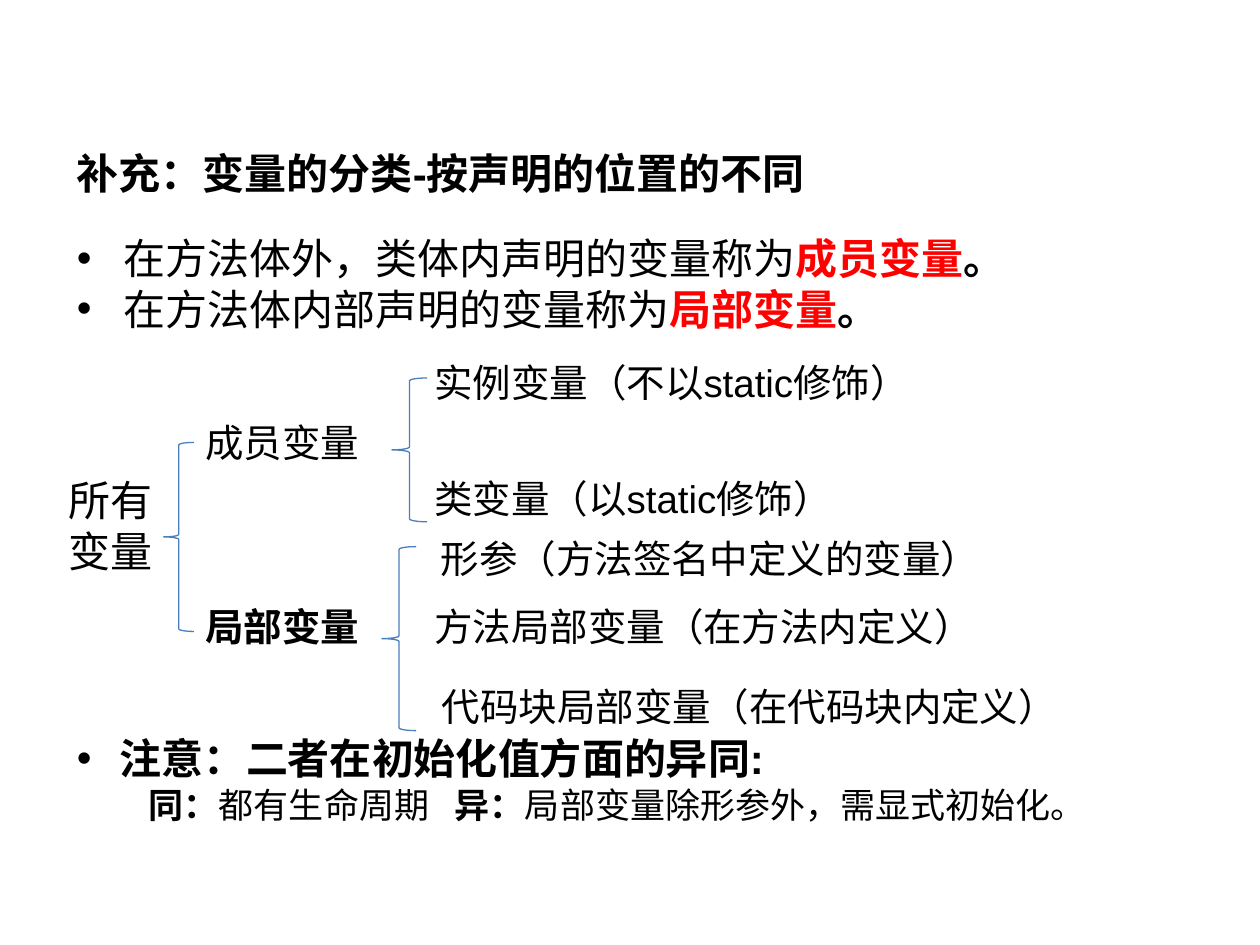
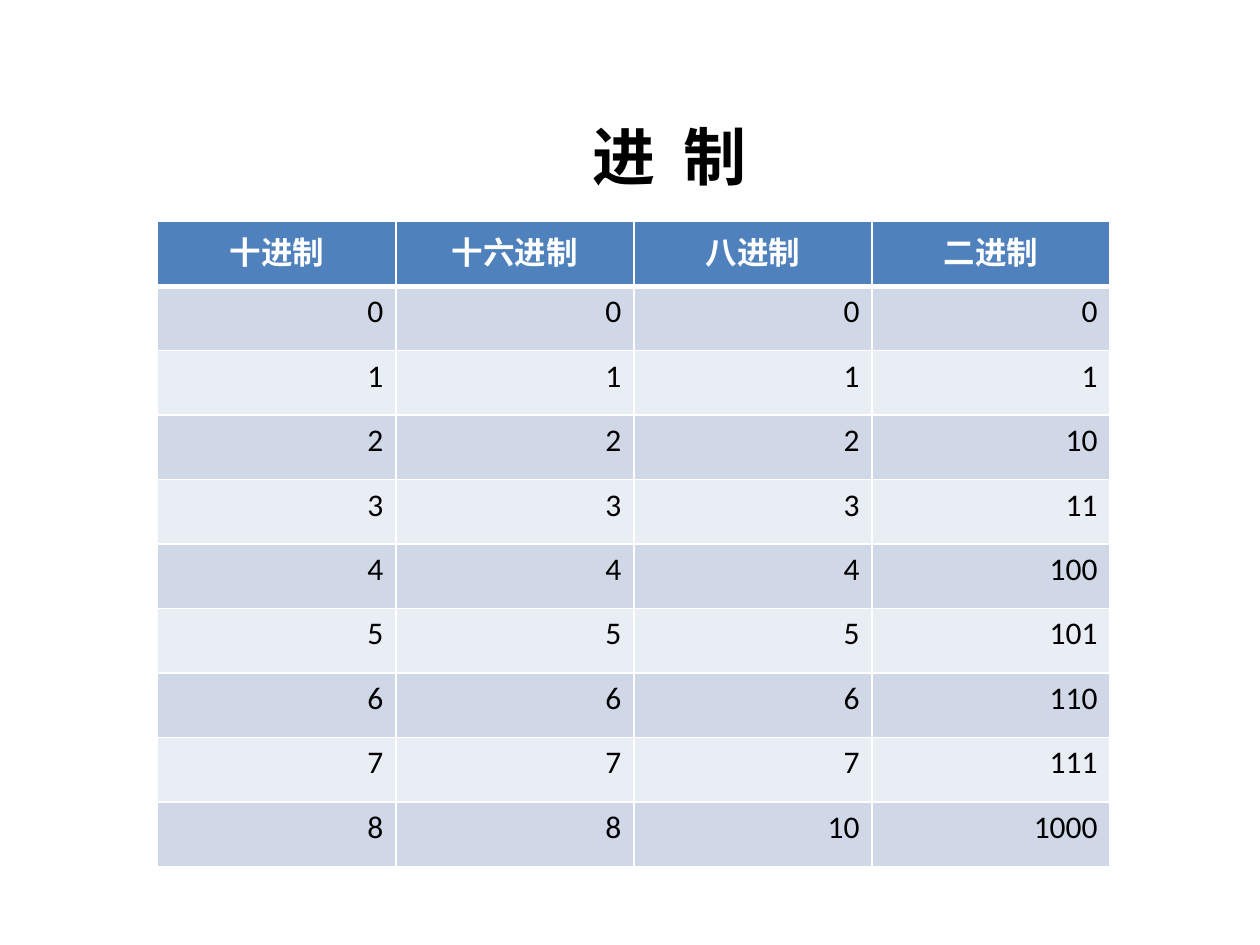
import lxml.etree
import pptx
import pptx.dml.color
import pptx.enum.shapes
import pptx.enum.text
import pptx.oxml
import pptx.oxml.ns
import pptx.util

Cm = pptx.util.Cm
Pt = pptx.util.Pt
qn = pptx.oxml.ns.qn
ALIGN = pptx.enum.text.PP_ALIGN
COLOURS = {
    "ink": "000000",
    "accent": "FF0000",
    "brace": "4B7EBC",
    "header": "4F81BD",
    "band_dark": "D0D8E8",
    "band_light": "E9EDF4",
    "white": "FFFFFF",
}


def rgb(name):
    return pptx.dml.color.RGBColor.from_string(COLOURS[name])


class Painter:
    body_font = "Arial"
    table_font = "Calibri"

    def __init__(self, deck):
        self.deck = deck
        self.slide = None

    def new_slide(self):
        self.slide = self.deck.slides.add_slide(self.deck.slide_layouts[6])

    def style(self, font, size, bold=False, colour="ink", name=None):
        font.name = name or self.body_font
        font.size = Pt(size)
        font.bold = bold
        font.color.rgb = rgb(colour)

    def frame(self, left, top, width, height):
        box = self.slide.shapes.add_textbox(Cm(left), Cm(top), Cm(width), Cm(height))
        box.text_frame.word_wrap = True
        return box.text_frame

    def label(self, left, top, width, height, lines, size=22, bold=False):
        frame = self.frame(left, top, width, height)
        frame.text = lines
        for para in frame.paragraphs:
            self.style(para.font, size, bold)

    def title(self, left, top, width, height, words, spread):
        frame = self.frame(left, top, width, height)
        frame.vertical_anchor = pptx.enum.text.MSO_ANCHOR.MIDDLE
        para = frame.paragraphs[0]
        para.alignment = ALIGN.CENTER
        span = para.add_run()
        span.text = words
        self.style(span.font, 36, True, name=self.table_font)
        span._r.get_or_add_rPr().set("spc", str(spread * 100))

    def brace(self, left, top, width, height):
        shape = self.slide.shapes.add_shape(
            pptx.enum.shapes.MSO_SHAPE.LEFT_BRACE, Cm(left), Cm(top), Cm(width), Cm(height))
        shape.shadow.inherit = False
        shape.fill.background()
        shape.line.color.rgb = rgb("brace")
        shape.line.width = Pt(0.75)

    def spans(self, para, parts, size):
        for words, bold, colour in parts:
            span = para.add_run()
            span.text = words
            self.style(span.font, size, bold, colour)

    def indent(self, para, margin, first, bullet=False, tab=None):
        props = para._p.get_or_add_pPr()
        props.set("marL", str(Cm(margin)))
        props.set("indent", str(Cm(first)))
        if bullet:
            lxml.etree.SubElement(props, qn("a:buFont")).set("typeface", self.body_font)
            lxml.etree.SubElement(props, qn("a:buChar")).set("char", "•")
        if tab:
            stops = lxml.etree.SubElement(props, qn("a:tabLst"))
            stop = lxml.etree.SubElement(stops, qn("a:tab"))
            stop.set("pos", str(Cm(tab)))
            stop.set("algn", "l")

    def cell_borders(self, cell, top, bottom):
        props = cell._tc.get_or_add_tcPr()
        for side, width in (("L", 1), ("R", 1), ("T", top), ("B", bottom)):
            line = lxml.etree.SubElement(props, qn(f"a:ln{side}"))
            line.set("w", str(Pt(width)))
            fill = lxml.etree.SubElement(line, qn("a:solidFill"))
            lxml.etree.SubElement(fill, qn("a:srgbClr")).set("val", COLOURS["white"])

    def table(self, left, top, column_width, row_height, rows):
        count = len(rows[0])
        table = self.slide.shapes.add_table(
            len(rows), count, Cm(left), Cm(top),
            Cm(column_width * count), Cm(row_height * len(rows))).table
        for row_index, row in enumerate(rows):
            header = row_index == 0
            band = "header" if header else "band_dark" if row_index % 2 else "band_light"
            for column, words in enumerate(row):
                cell = table.cell(row_index, column)
                self.cell_borders(cell, 3 if row_index == 1 else 1, 3 if header else 1)
                cell.fill.solid()
                cell.fill.fore_color.rgb = rgb(band)
                cell.text = words
                para = cell.text_frame.paragraphs[0]
                para.alignment = ALIGN.CENTER if header else ALIGN.RIGHT
                self.style(para.font, 18, header, "white" if header else "ink", self.table_font)


def variables_slide(painter):
    painter.new_slide()
    painter.label(1.3, 2.84, 16.41, 1.27, "补充：变量的分类-按声明的位置的不同", 24, True)

    frame = painter.frame(1.3, 4.57, 22.4, 12.32)
    definitions = [("在方法体外，类体内声明的变量称为", "成员变量"),
                   ("在方法体内部声明的变量称为", "局部变量")]
    para = frame.paragraphs[0]
    for place, term in definitions:
        painter.indent(para, 0.95, -0.95, bullet=True)
        painter.spans(para, [(place, False, "ink"), (term, True, "accent"),
                             ("。", True, "ink")], 24)
        para = frame.add_paragraph()
    painter.indent(para, 0.87, -0.87, bullet=True)
    para.space_before = Pt(228)
    painter.spans(para, [("注意：二者在初始化值方面的异同:", True, "ink")], 24)
    para = frame.add_paragraph()
    painter.indent(para, 0, 1.45, tab=8.06)
    painter.spans(para, [("同：", True, "ink"), ("都有生命周期\t", False, "ink"),
                         ("异：", True, "ink"),
                         ("局部变量除形参外，需显式初始化。", False, "ink")], 20)

    for place in [(3.3, 8.92, 0.61, 3.81), (7.9, 7.62, 0.71, 2.9), (7.7, 11.02, 0.69, 3.71)]:
        painter.brace(*place)
    painter.label(1.14, 9.45, 2.34, 2.31, "所有\n变量", 24)
    painter.label(3.89, 8.33, 4.19, 1.19, "成员变量")
    painter.label(3.89, 12.04, 4.19, 1.19, "局部变量", bold=True)
    kinds = [
        (8.51, 7.11, "实例变量（不以static修饰）"),
        (8.51, 9.45, "类变量（以static修饰）"),
        (8.64, 10.67, "形参（方法签名中定义的变量）"),
        (8.51, 12.04, "方法局部变量（在方法内定义）"),
        (8.66, 13.64, "代码块局部变量（在代码块内定义）"),
    ]
    for left, top, words in kinds:
        painter.label(left, top, 13.64, 1.19, words)


def bases_slide(painter):
    painter.new_slide()
    painter.title(9.5, 1.93, 8, 2.39, "进 制", 4)
    rows = [["十进制", "十六进制", "八进制", "二进制"]]
    rows += [[f"{number:{base}}" for base in "dXob"] for number in range(9)]
    painter.table(3.18, 4.47, 4.8, 1.3, rows)


def main():
    deck = pptx.Presentation()
    deck.slide_width = Cm(25.4)
    deck.slide_height = Cm(19.05)
    painter = Painter(deck)
    variables_slide(painter)
    bases_slide(painter)
    deck.save("out.pptx")


if __name__ == "__main__":
    main()
